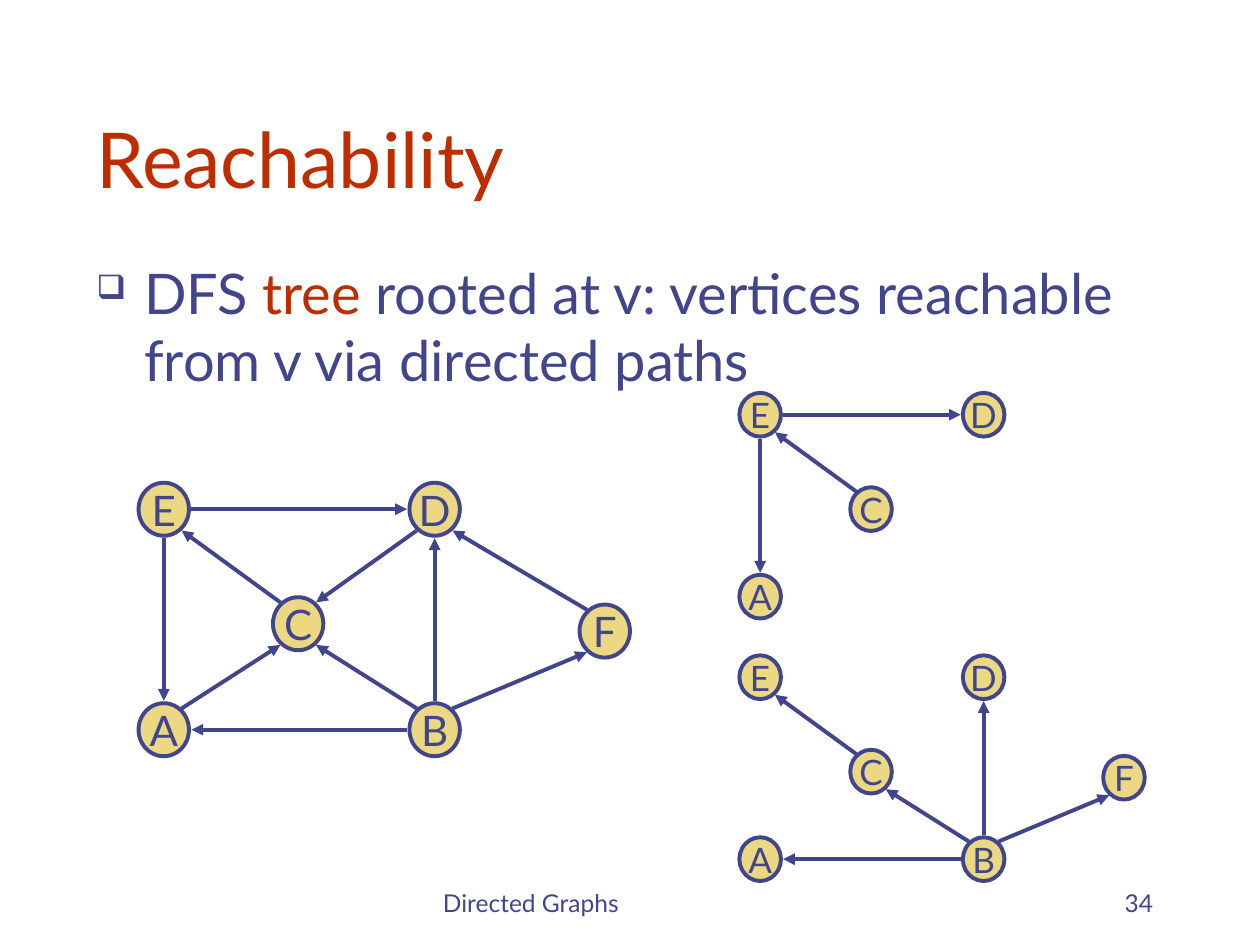
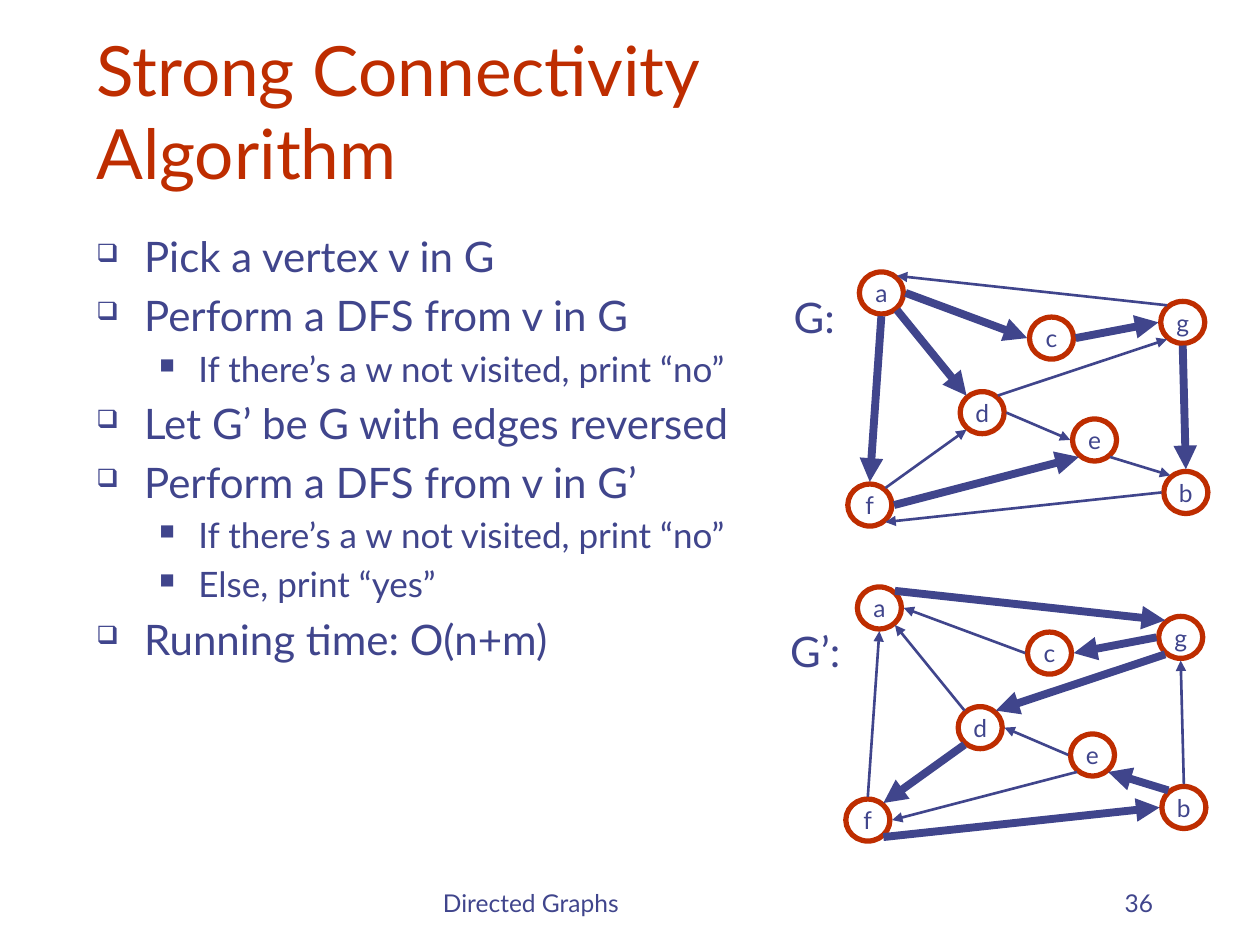
from dataclasses import dataclass
from math import atan2, pi, sqrt

from lxml.etree import SubElement as Sub
from pptx import Presentation
from pptx.dml.color import RGBColor as Rgb
from pptx.enum.shapes import MSO_CONNECTOR as Link, MSO_SHAPE as Form
from pptx.enum.text import MSO_ANCHOR as Anchor, PP_ALIGN as Align
from pptx.oxml.ns import qn
from pptx.util import Inches, Pt


@dataclass(frozen=True)
class Theme:
    font: str = "Lato"
    ink: str = "40458C"
    red: str = "BE2D00"
    gold: str = "ECD882"
    white: str = "FFFFFF"
    title: float = 44
    snug: float = 39.6
    lead: float = 32
    body: float = 24
    sub: float = 20
    small: float = 14


@dataclass(frozen=True)
class Look:
    size: tuple
    fill: str
    rim: str
    width: float
    text: float


COLS, ROWS = 120, 90
PORTS = {"e": (1, 0), "se": (1, 1), "s": (0, 1), "sw": (-1, 1),
         "w": (-1, 0), "nw": (-1, -1), "n": (0, -1), "ne": (1, -1)}
TURN = list(PORTS)


class Deck:
    def __init__(self, theme):
        self.theme = theme
        self.deck = Presentation()
        self.deck.slide_width, self.deck.slide_height = Inches(10), Inches(7.5)
        self.slide = None

    def grid(self, x, y):
        return (round(x * self.deck.slide_width / COLS),
                round(y * self.deck.slide_height / ROWS))

    def page(self, number):
        self.slide = self.deck.slides.add_slide(self.deck.slide_layouts[6])
        self.text((41, 82, 38, 6), "Directed Graphs", self.theme.small,
                  anchor=Anchor.BOTTOM)
        self.text((86, 82, 25, 6), str(number), self.theme.small,
                  align=Align.RIGHT, anchor=Anchor.BOTTOM)

    def run(self, para, text, size, color=None):
        run = para.add_run()
        run.text = text
        run.font.name = self.theme.font
        run.font.size = Pt(size)
        run.font.color.rgb = Rgb.from_string(color or self.theme.ink)

    def frame(self, box, wrap=True, anchor=Anchor.TOP):
        left, top, wide, high = box
        shape = self.slide.shapes.add_textbox(*self.grid(left, top), *self.grid(wide, high))
        frame = shape.text_frame
        frame.word_wrap, frame.vertical_anchor = wrap, anchor
        return frame

    def text(self, box, text, size, color=None, align=Align.LEFT,
             anchor=Anchor.TOP, wrap=True):
        para = self.frame(box, wrap, anchor).paragraphs[0]
        para.alignment = align
        self.run(para, text, size, color)

    def title(self, box, text, size):
        self.text(box, text, size, self.theme.red, anchor=Anchor.BOTTOM)

    def bullet(self, para, level):
        mark, left, hang = (("❑", 0.38, 0.38), ("■", 0.81, 0.31))[level]
        para.level = level
        props = para._p.get_or_add_pPr()
        props.set("marL", str(Inches(left)))
        props.set("indent", str(-Inches(hang)))
        Sub(Sub(props, qn("a:buClr")), qn("a:srgbClr"), val=self.theme.ink)
        Sub(props, qn("a:buSzPct"), val="60000")
        Sub(props, qn("a:buChar"), char=mark)

    def points(self, box, items):
        frame = self.frame(box)
        for spot, (level, size, runs) in enumerate(items):
            para = frame.add_paragraph() if spot else frame.paragraphs[0]
            self.bullet(para, level)
            para.space_before = Pt(size * 0.2 if spot else 0)
            for text, color in runs:
                self.run(para, text, size, color)

    def node(self, name, spot, look, scale):
        wide, high = (side * scale for side in look.size)
        shape = self.slide.shapes.add_shape(
            Form.OVAL, *self.grid(spot[0] - wide / 2, spot[1] - high / 2),
            *self.grid(wide, high))
        shape.shadow.inherit = False
        shape.fill.solid()
        shape.fill.fore_color.rgb = Rgb.from_string(look.fill)
        shape.line.color.rgb = Rgb.from_string(look.rim)
        shape.line.width = Pt(look.width)
        frame = shape.text_frame
        frame.word_wrap, frame.vertical_anchor = False, Anchor.MIDDLE
        frame.paragraphs[0].alignment = Align.CENTER
        self.run(frame.paragraphs[0], name, look.text)

    def arrow(self, start, end, width):
        line = self.slide.shapes.add_connector(
            Link.STRAIGHT, *self.grid(*start), *self.grid(*end))
        line.line.color.rgb = Rgb.from_string(self.theme.ink)
        line.line.width = Pt(width)
        Sub(line.line._get_or_add_ln(), qn("a:tailEnd"), type="triangle")
        Sub(line._element.spPr, qn("a:effectLst"))

    def graph(self, origin, nodes, edges, look, scale=1):
        spots = {name: (origin[0] + x * scale, origin[1] + y * scale)
                 for name, (x, y) in nodes.items()}
        for name, spot in spots.items():
            self.node(name, spot, look, scale)
        wide, high = (side * scale for side in look.size)
        for width, pairs in edges.items():
            for pair in pairs:
                tail, head = pair
                self.arrow(port(spots, tail, head, wide, high),
                           port(spots, head, tail, wide, high), width)

    def save(self):
        self.deck.save("out.pptx")


def port(spots, here, there, wide, high):
    (x, y), (far_x, far_y) = spots[here[0]], spots[there[0]]
    turn = round(atan2(far_y - y, far_x - x) / (pi / 4)) % 8
    dx, dy = PORTS[here[1:] or TURN[turn]]
    reach = sqrt(0.5) if dx and dy else 1
    gap = wide * 0.05
    return (x + dx * (wide / 2 * reach + (0 if dy else gap)),
            y + dy * (high / 2 * reach + gap))


def pairs(text):
    return [tuple(word.split("-")) for word in text.split()]


def flip(text):
    return [(head, tail) for tail, head in pairs(text)]


def pick(nodes, names):
    return {name: nodes[name] for name in names}


def reach(deck):
    theme = deck.theme
    deck.page(34)
    deck.title((8, 9, 62.4, 11), "Reachability", theme.title)
    deck.points((8, 24, 108, 19.7), [(0, theme.lead, [
        ("DFS ", theme.ink), ("tree", theme.red),
        (" rooted at v: vertices reachable from v via directed paths", theme.ink)])])
    look = Look((4.8, 5.05), theme.gold, theme.ink, 2.25, theme.body)
    nodes = {"A": (0, 21), "C": (12.8, 10.9), "E": (0, 0),
             "B": (25.8, 21), "D": (25.8, 0), "F": (42, 11.6)}
    full = "F-D B-A C-E E-D B-D A-C D-C E-A B-F B-C"
    deck.graph((15.6, 48.5), nodes, {2.25: pairs(full)}, look)
    tree = Look(look.size, look.fill, look.rim, look.width, theme.sub)
    for top, names, edges in ((39.5, "ACED", "C-E E-D E-A"),
                              (64.5, "ACEBDF", "B-A C-E B-D B-F B-C")):
        deck.graph((72.4, top), pick(nodes, names), {2.25: pairs(edges)}, tree, 0.825)


def strong(deck):
    theme = deck.theme
    deck.page(36)
    main, sub = (0, theme.body), (1, theme.sub)
    lines = [(main, "Pick a vertex v in G"),
             (main, "Perform a DFS from v in G"),
             (sub, "If there’s a w not visited, print “no”"),
             (main, "Let G’ be G with edges reversed"),
             (main, "Perform a DFS from v in G’"),
             (sub, "If there’s a w not visited, print “no”"),
             (sub, "Else, print “yes”"),
             (main, "Running time: O(n+m)")]
    deck.points((8, 21.4, 66, 58.5),
                [(*kind, [(text, theme.ink)]) for kind, text in lines])
    deck.title((8, 4, 71.3, 15), "Strong Connectivity Algorithm", theme.snug)
    for box, name in (((74.3, 27.2, 6.5, 6), "G:"), ((74, 59, 7.3, 6), "G’:")):
        deck.text(box, name, theme.body, align=Align.CENTER, wrap=False)
    look = Look((4.2, 4), theme.white, theme.red, 3, theme.small)
    nodes = {"a": (0, 0), "d": (9.6, 11.4), "c": (16.2, 4.3), "b": (29, 19),
             "e": (20.3, 14), "f": (-1.1, 20.2), "g": (28.7, 2.8)}
    deck.graph((83.94, 27.9), nodes, {
        4.5: pairs("a-f a-d a-c c-g g-b f-esw"),
        1.5: pairs("gnw-ane d-e e-b f-d b-fse d-g")}, look)
    deck.graph((83.75, 57.9), nodes, {
        1.5: flip("a-f a-d a-c g-b d-e f-esw"),
        4.5: flip("gnw-ane c-g e-b f-d b-fse d-g")}, look)


def main():
    deck = Deck(Theme())
    reach(deck)
    strong(deck)
    deck.save()


if __name__ == "__main__":
    main()
